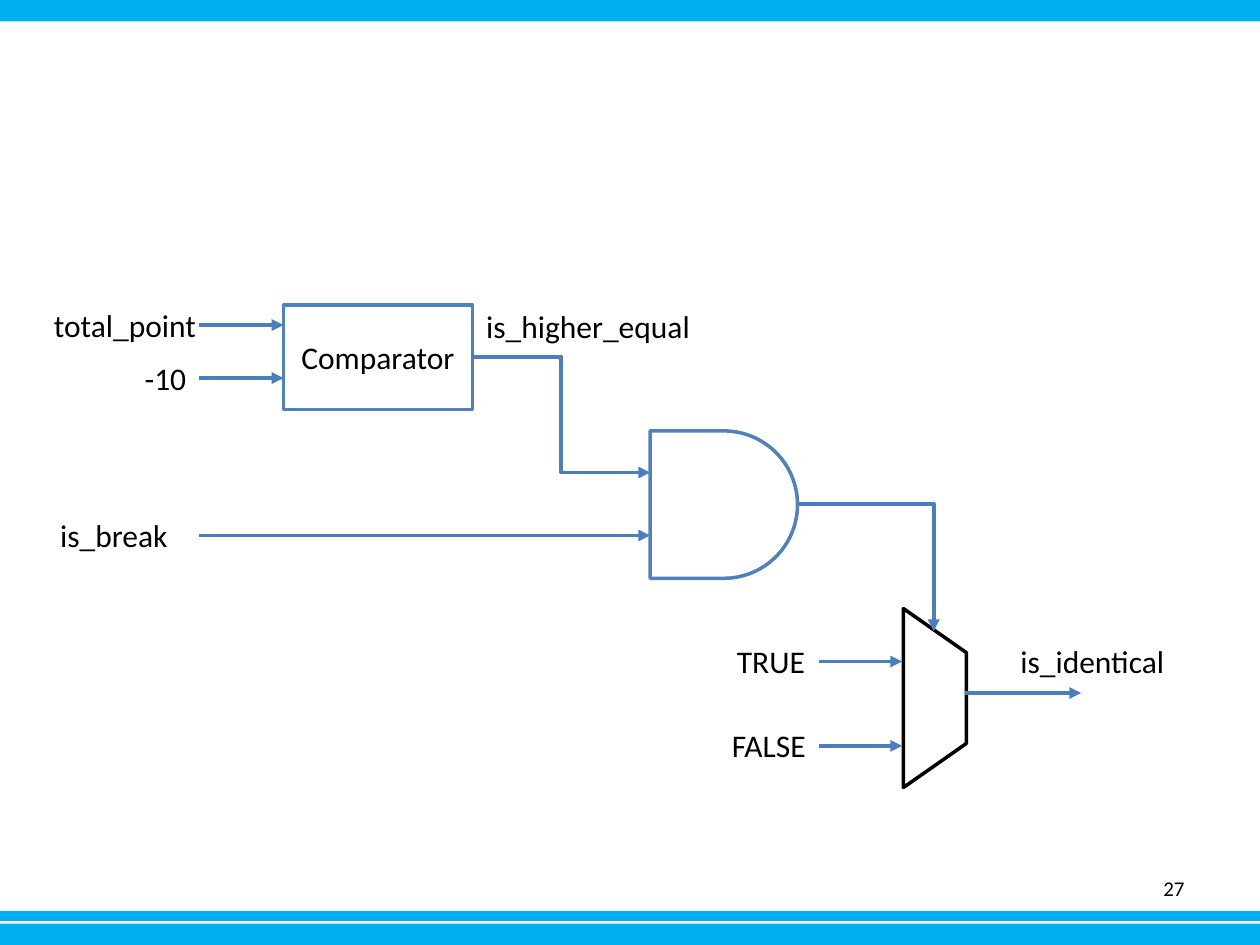
from lxml.etree import SubElement
from pptx import Presentation
from pptx.dml.color import RGBColor
from pptx.enum.shapes import MSO_CONNECTOR, MSO_SHAPE
from pptx.enum.text import MSO_ANCHOR, PP_ALIGN
from pptx.oxml.ns import qn
from pptx.util import Inches, Pt

COLORS = {"band": "00B0F0", "outline": "4F81BD", "wire": "4B7EBC",
          "black": "000000", "white": "FFFFFF"}
FONT = "Calibri"

BANDS = [(7.33, 0.17), (7.23, 0.08), (0, 0.17)]  # top, height

# preset, (left, top, width, height), outline
BLOCKS = {
    "comparator": (MSO_SHAPE.RECTANGLE, (2.25, 2.42, 1.5, 0.83), "outline"),
    "and gate": (MSO_SHAPE.FLOWCHART_DELAY, (5.16, 3.42, 1.17, 1.17), "outline"),
    "multiplexer": (MSO_SHAPE.TRAPEZOID, (6.71, 5.29, 1.42, 0.5), "black"),
}

# text, left, top, width
LABELS = [
    ("total_point", 0.33, 2.38, 1.34),
    ("-10", 1.05, 2.8, 0.54),
    ("is_higher_equal", 3.76, 2.39, 1.95),
    ("is_break", 0.38, 4.05, 1.34),
    ("TRUE", 5.75, 5.05, 0.75),
    ("FALSE", 5.71, 5.71, 0.8),
    ("is_identical", 8, 5.05, 1.95),
]

# start, end
STRAIGHT_WIRES = [
    ((1.58, 2.58), (2.25, 2.58)),
    ((1.58, 3), (2.25, 3)),
    ((1.58, 4.25), (5.16, 4.25)),
    ((6.5, 5.25), (7.16, 5.25)),
    ((6.5, 5.92), (7.16, 5.92)),
    ((7.66, 5.5), (8.58, 5.5)),
]
# start, end, preset
BENT_WIRES = [
    ((3.75, 2.83), (5.16, 3.75), "bentConnector3"),
    ((6.33, 4), (7.41, 5.01), "bentConnector2"),
]


def color(name):
    return RGBColor.from_string(COLORS[name])


def add_block(page, preset, place, fill, outline=None):
    block = page.shapes.add_shape(preset, *map(Inches, place))
    block.shadow.inherit = False
    block.fill.solid()
    block.fill.fore_color.rgb = color(fill)
    if outline:
        block.line.color.rgb = color(outline)
        block.line.width = Pt(2)
    else:
        block.line.fill.background()
    return block


def write(box, text, size=18, align=PP_ALIGN.LEFT, anchor=MSO_ANCHOR.TOP):
    frame = box.text_frame
    frame.word_wrap = True
    frame.vertical_anchor = anchor
    para = frame.paragraphs[0]
    para.text = text
    para.alignment = align
    para.font.name = FONT
    para.font.size = Pt(size)
    para.font.color.rgb = color("black")


def add_label(page, text, place, **style):
    write(page.shapes.add_textbox(*map(Inches, place)), text, **style)


def add_wire(page, start, end, bend=None):
    kind = MSO_CONNECTOR.ELBOW if bend else MSO_CONNECTOR.STRAIGHT
    wire = page.shapes.add_connector(kind, *map(Inches, start + end))
    wire.line.color.rgb = color("wire")
    wire.line.width = Pt(2.25)
    SubElement(wire.line._get_or_add_ln(), qn("a:tailEnd"), type="triangle")
    properties = wire._element.spPr
    SubElement(properties, qn("a:effectLst"))
    if bend:
        properties.find(qn("a:prstGeom")).set("prst", bend)


def main():
    deck = Presentation()
    deck.slide_width, deck.slide_height = Inches(10), Inches(7.5)
    page = deck.slides.add_slide(deck.slide_layouts[6])

    for top, height in BANDS:
        add_block(page, MSO_SHAPE.RECTANGLE, (0, top, 10, height), "band")
    add_label(page, "27", (7.17, 6.85, 2.33, 0.4), size=12,
              align=PP_ALIGN.RIGHT, anchor=MSO_ANCHOR.MIDDLE)

    blocks = {name: add_block(page, preset, place, "white", outline)
              for name, (preset, place, outline) in BLOCKS.items()}
    write(blocks["comparator"], "Comparator", align=PP_ALIGN.CENTER,
          anchor=MSO_ANCHOR.MIDDLE)
    blocks["multiplexer"].rotation = 90
    blocks["multiplexer"].adjustments[0] = 0.7

    for start, end in STRAIGHT_WIRES:
        add_wire(page, start, end)
    for start, end, bend in BENT_WIRES:
        add_wire(page, start, end, bend)
    for text, left, top, width in LABELS:
        add_label(page, text, (left, top, width, 0.4))

    deck.save("out.pptx")


if __name__ == "__main__":
    main()
